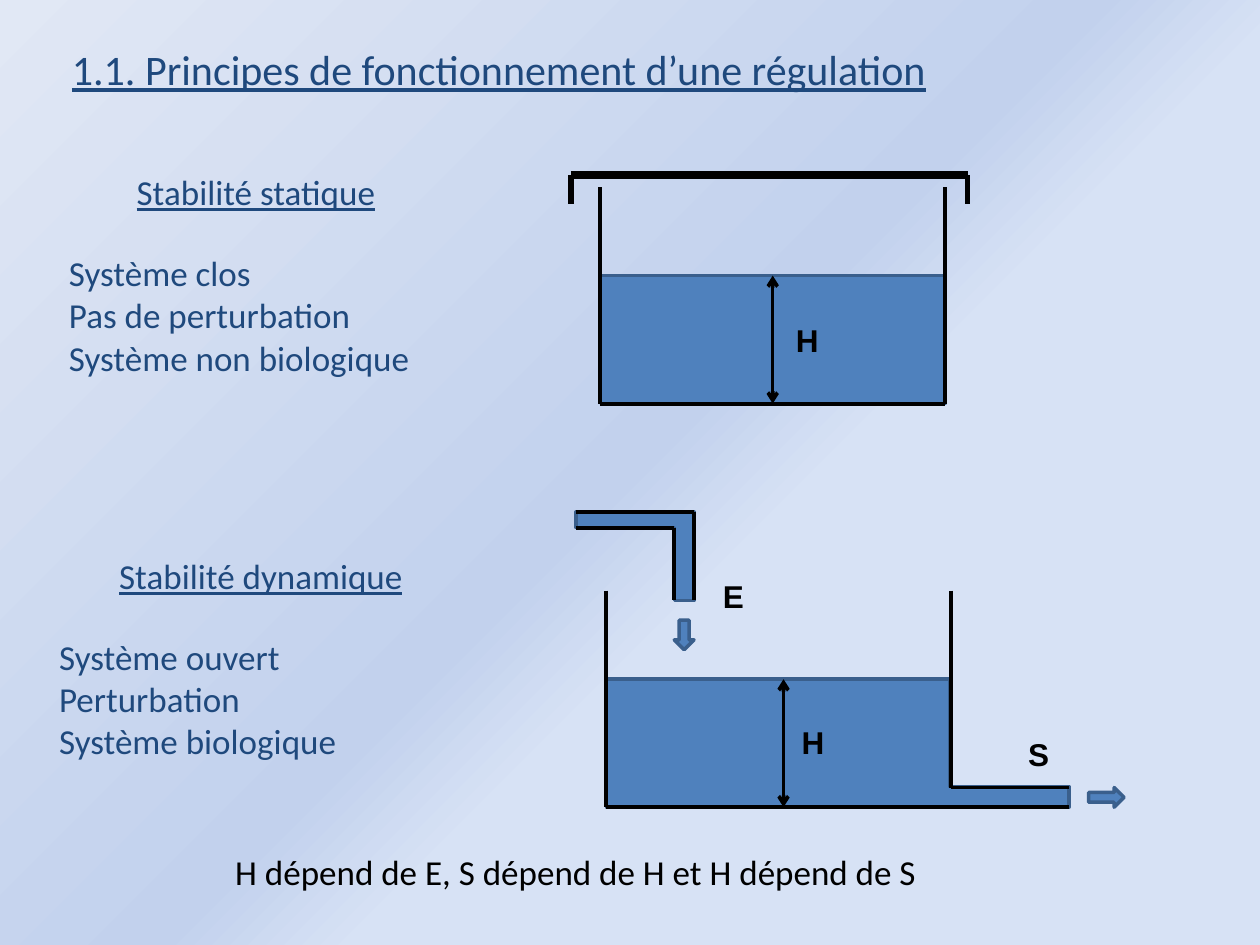
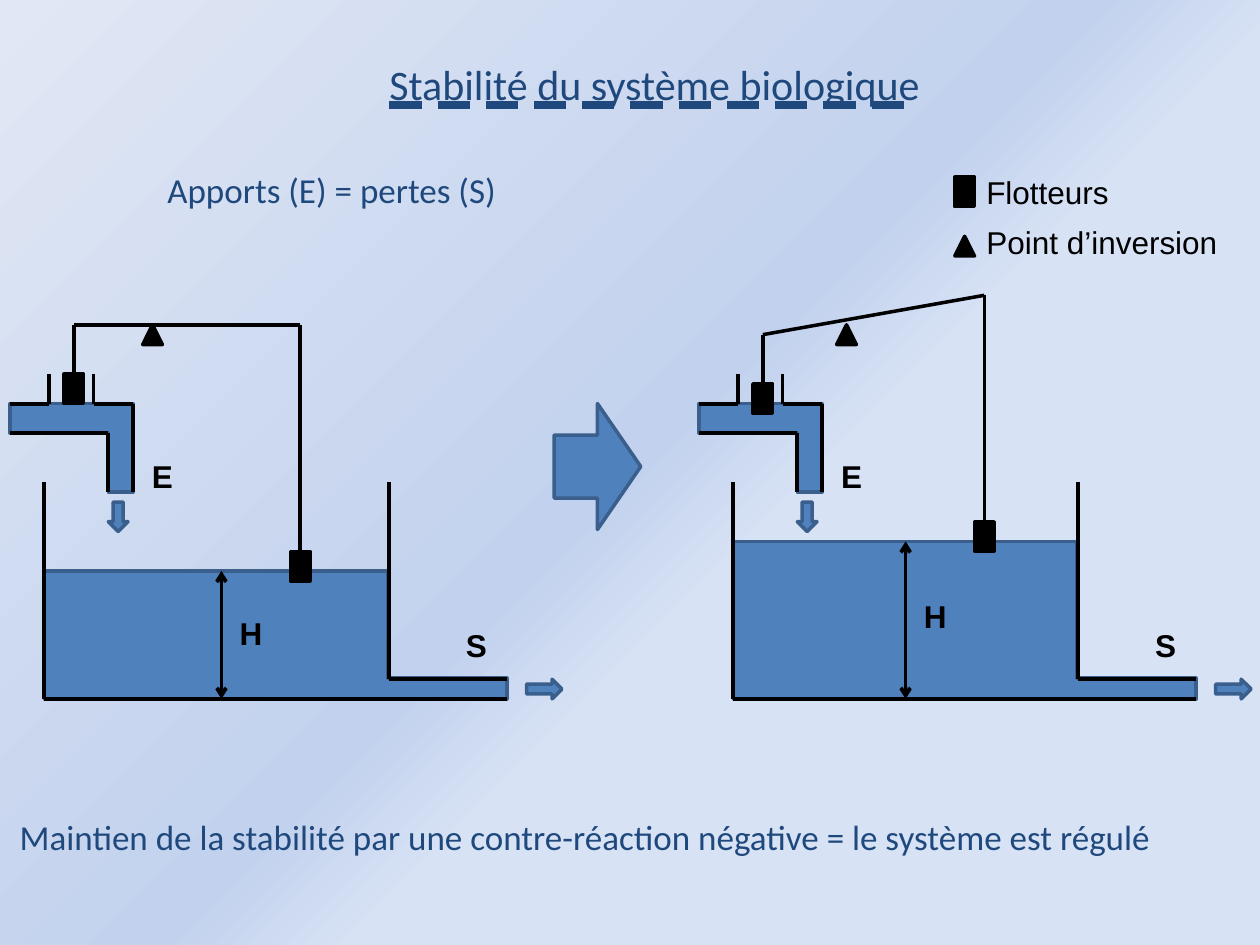
from lxml import etree
from pptx import Presentation
from pptx.dml.color import RGBColor
from pptx.enum.shapes import MSO_CONNECTOR, MSO_SHAPE
from pptx.enum.text import MSO_ANCHOR, MSO_AUTO_SIZE, MSO_UNDERLINE, PP_ALIGN
from pptx.oxml import parse_xml
from pptx.oxml.ns import nsdecls, qn
from pptx.util import Pt

PX = 914400 / 128
WIDE, HIGH = 1280, 960
HEX = {"navy": "1F497D", "water": "4F81BD", "edge": "3A5F8C", "ink": "000000"}
STOPS = ((41, "D7E2F5"), (50, "C2D1ED"), (100, "E1E8F5"))
LEFT, MID = PP_ALIGN.LEFT, PP_ALIGN.CENTER
RECT, BEND, CONE = MSO_SHAPE.RECTANGLE, MSO_SHAPE.CORNER, MSO_SHAPE.ISOSCELES_TRIANGLE
DOWN, RIGHT = MSO_SHAPE.DOWN_ARROW, MSO_SHAPE.RIGHT_ARROW
STRAIGHT = MSO_CONNECTOR.STRAIGHT
DASH = MSO_UNDERLINE.DASH_HEAVY_LINE


def emu(*sizes):
    """Turn px lengths into EMU."""
    return [round(size * PX) for size in sizes]


def rgb(name):
    """Look up a colour of the palette."""
    return RGBColor.from_string(HEX[name])


def paint(master):
    """Give the master its gradient background."""
    master.background.fill.solid()
    back = master.element.find(".//" + qn("p:bgPr"))
    back.remove(back[0])
    stops = "".join(f'<a:gs pos="{pos}000"><a:srgbClr val="{tone}"/></a:gs>' for pos, tone in STOPS)
    back.insert(0, parse_xml(
        f'<a:gradFill {nsdecls("a")} rotWithShape="1"><a:gsLst>{stops}</a:gsLst>'
        '<a:path path="circle"><a:fillToRect l="100000" t="100000"/></a:path></a:gradFill>'))


def write(shape, box, lines, size=20, tone="navy", align=LEFT, under=None, face="Calibri", bold=False):
    """Place a text shape and fill it with lines without bullets."""
    shape.left, shape.top, shape.width, shape.height = emu(*box)
    frame = shape.text_frame
    frame.word_wrap, frame.auto_size = True, MSO_AUTO_SIZE.NONE
    frame.vertical_anchor = MSO_ANCHOR.MIDDLE
    frame.margin_left = frame.margin_right = frame.margin_top = frame.margin_bottom = 0
    frame.text = "\n".join(lines)
    for para in frame.paragraphs:
        props = para._p.get_or_add_pPr()
        props.set("marL", "0")
        props.set("indent", "0")
        etree.SubElement(props, qn("a:buNone"))
        para.alignment, para.space_before = align, Pt(0)
        font = para.font
        font.name, font.size, font.bold, font.underline = face, Pt(size), bold, under
        font.color.rgb = rgb(tone)


def note(slide, box, text, **style):
    """Add a one-line text box."""
    write(slide.shapes.add_textbox(0, 0, 0, 0), box, [text], **style)


def label(slide, x, y, text):
    """Add a bold letter for a quantity."""
    note(slide, (x, y, 60, 51), text, size=18, tone="ink", align=MID, face="Arial", bold=True)


def shape(slide, kind, box, fill="water", edge="edge"):
    """Add a filled, outlined preset shape."""
    form = slide.shapes.add_shape(kind, *emu(*box))
    form.shadow.inherit = False
    form.fill.solid()
    form.fill.fore_color.rgb = rgb(fill)
    form.line.color.rgb = rgb(edge)
    form.line.width = Pt(2)
    return form


def black(slide, kind, x, y, high):
    """Add a small black mark."""
    shape(slide, kind, (x, y, 20, high), "ink", "ink")


def path(slide, *points, width=2.25, heads=False):
    """Join points by straight black lines."""
    for start, end in zip(points, points[1:]):
        line = slide.shapes.add_connector(STRAIGHT, *emu(*start, *end))
        line.line.color.rgb = rgb("ink")
        line.line.width = Pt(width)
        props = line._element.spPr
        etree.SubElement(props, qn("a:effectLst"))
        if heads:
            for tag in ("a:headEnd", "a:tailEnd"):
                etree.SubElement(line.line._get_or_add_ln(), qn(tag)).set("type", "arrow")


def level(slide, x, top, base, tag):
    """Measure the water height with a double arrow."""
    path(slide, (x, top), (x, base), width=2, heads=True)
    label(slide, *tag, "H")


def closed(slide, x, y):
    """Draw a lidded tank from its top left corner."""
    right, base, top = x + 350, y + 220, y + 90
    shape(slide, RECT, (x, top, 350, 130))
    path(slide, (x, y), (x, base), (right, base), (right, y))
    level(slide, x + 175, top, base, (x + 180, y + 130))
    lid, low, far = y - 12, y + 17, right + 23
    path(slide, (x - 30, lid), (far, lid), width=4.5)
    for side in (x - 30, far):
        path(slide, (side, low), (side, lid), width=3)


def opened(slide, x, y, depth=130, gauge=180, tag=128):
    """Draw a tank with an outlet from its top left corner."""
    right, base, end, top = x + 350, y + 220, x + 470, y + 220 - depth
    pool = shape(slide, BEND, (x, top, 470, depth))
    pool.adjustments[0], pool.adjustments[1] = 21 / depth, 349 / depth
    path(slide, (x, y), (x, base), (end, base))
    path(slide, (right, y), (right, y + 200), (end, y + 200))
    level(slide, x + gauge, top, base, (x + gauge, y + tag))
    label(slide, x + 409, y + 140, "S")
    shape(slide, RIGHT, (x + 490, y + 200, 36, 20))


def inlet(slide, x, y, wide, bar, leg, drop, tag, slot=None):
    """Draw a bent inlet pipe, its flow arrow and its letter."""
    right, base = x + wide, y + 90
    pipe = shape(slide, BEND, (x, y, wide, 90))
    pipe.rotation = 180
    pipe.adjustments[0], pipe.adjustments[1] = bar / 90, leg / 90
    path(slide, (x, y + bar), (right - leg, y + bar), (right - leg, base))
    if slot:
        near, far = x + slot[0], x + slot[1]
        path(slide, (x, y), (near, y), (near, y - 30))
        path(slide, (far, y - 30), (far, y), (right, y), (right, base))
    else:
        path(slide, (x, y), (right, y), (right, base))
    shape(slide, DOWN, (right - leg, y + drop, 20, 30))
    label(slide, right + tag[0], y + tag[1], "E")


def lever(slide, x, valve, buoy, arm, pivot):
    """Link the valve and the float by a beam on its pivot."""
    far = x + arm
    black(slide, RECT, x - 10, valve, 30)
    black(slide, RECT, far - 10, buoy, 30)
    path(slide, (x, valve), (x, valve - 50), (far, buoy - 230), (far, buoy), width=2)
    black(slide, CONE, x + pivot, 330, 20)


def system(slide, x, depth, gauge, tag, valve, buoy, arm, pivot):
    """Draw a regulated tank from its left edge."""
    opened(slide, x + 35, 490, depth, gauge, tag)
    inlet(slide, x, 410, 125, 30, 25, 100, (0, 48), slot=(40, 85))
    lever(slide, x + 65, valve, buoy, arm, pivot)


def legend(slide, x, y):
    """Explain the two black marks."""
    rows = ((RECT, 10, 30, "Flotteurs"), (CONE, 20, 20, "Point d’inversion"))
    for row, (kind, gap, high, text) in enumerate(rows):
        top = y + 50 * row
        black(slide, kind, x, top + gap, high)
        note(slide, (x + 32, top, 270, 51), text, size=18, tone="ink", face="Arial")


def compare(deck):
    """Build the slide on static and dynamic stability."""
    slide = deck.slides.add_slide(deck.slide_layouts[3])
    title, *bodies = slide.placeholders
    write(title, (73, 40, 960, 60), ["1.1. Principes de fonctionnement d’une régulation"], 24, under=True)
    parts = (
        ((120, 160, 280, 70), "Stabilité statique", (70, 250, 420, 140),
         ("Système clos", "Pas de perturbation", "Système non biologique")),
        ((90, 550, 350, 70), "Stabilité dynamique", (60, 640, 360, 140),
         ("Système ouvert", "Perturbation", "Système biologique")))
    for body, (top, head, box, lines) in zip(bodies, parts):
        note(slide, top, head, align=MID, under=True)
        write(body, box, lines)
    closed(slide, 610, 190)
    opened(slide, 616, 600)
    inlet(slide, 585, 520, 120, 16, 20, 110, (10, 60))
    note(slide, (180, 850, 810, 70), "H dépend de E, S dépend de H et H dépend de S", tone="ink", align=MID)


def regulate(deck):
    """Build the slide on negative feedback."""
    slide = deck.slides.add_slide(deck.slide_layouts[5])
    write(slide.shapes.title, (280, 50, 770, 70), ["Stabilité du système biologique"], 24, align=MID, under=DASH)
    note(slide, (170, 162, 400, 60), "Apports (E) = pertes (S)")
    system(slide, 10, 130, 180, 128, 380, 560, 230, 70)
    system(slide, 710, 160, 175, 110, 390, 530, 225, 75)
    shape(slide, RIGHT, (563, 410, 88, 128))
    legend(slide, 970, 170)
    note(slide, (20, 810, 1260, 80),
         "Maintien de la stabilité par une contre-réaction négative = le système est régulé")


def main():
    """Build and save the deck."""
    deck = Presentation()
    deck.slide_width, deck.slide_height = emu(WIDE, HIGH)
    paint(deck.slide_master)
    compare(deck)
    regulate(deck)
    deck.save("out.pptx")


if __name__ == "__main__":
    main()
